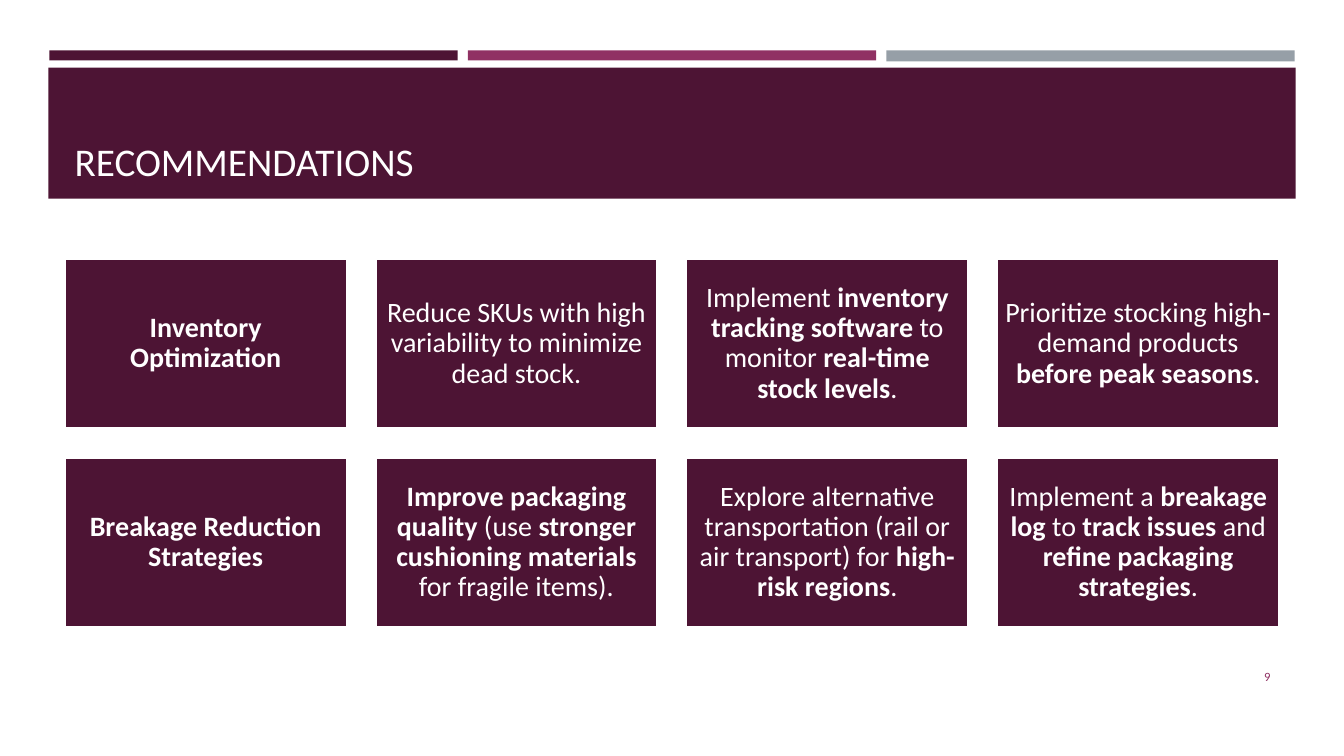
from dataclasses import dataclass

from pptx import Presentation
from pptx.dml.color import RGBColor
from pptx.enum import shapes, text
from pptx.util import Inches, Pt

PLUM, MAGENTA, GREY, WHITE = "4D1434", "903163", "969FA7", "FFFFFF"
FONT = "Calibri"


@dataclass
class Bar:
    left: float
    top: float
    width: float
    height: float
    color: str


BARS = [
    Bar(0.49, 0.5, 4.05, 0.1, PLUM),
    Bar(8.79, 0.5, 4.05, 0.11, GREY),
    Bar(4.64, 0.5, 4.05, 0.1, MAGENTA),
    Bar(0.48, 0.67, 12.37, 1.3, PLUM),
]

# Text between double asterisks is bold.
CARD_ROWS = [
    [
        "**Inventory Optimization**",
        "Reduce SKUs with high variability to minimize dead stock.",
        "Implement **inventory tracking software** to monitor **real-time stock levels**.",
        "Prioritize stocking high-demand products **before peak seasons**.",
    ],
    [
        "**Breakage Reduction Strategies**",
        "**Improve packaging quality** (use **stronger cushioning materials** for fragile items).",
        "Explore alternative transportation (rail or air transport) for **high-risk regions**.",
        "Implement a** breakage log** to **track issues **and** refine packaging strategies**.",
    ],
]
CARD_LEFT, CARD_TOP = 0.64, 2.57
CARD_WIDTH, CARD_HEIGHT = 2.8, 1.68
COLUMN_STEP, ROW_STEP = 3.083, 1.97


def rgb(color: str) -> RGBColor:
    return RGBColor.from_string(color)


def add_rectangle(page, left: float, top: float, width: float, height: float, color: str):
    box = page.shapes.add_shape(
        shapes.MSO_SHAPE.RECTANGLE, Inches(left), Inches(top), Inches(width), Inches(height)
    )
    box.shadow.inherit = False
    box.fill.solid()
    box.fill.fore_color.rgb = rgb(color)
    box.line.fill.background()
    return box


def write(box, words: str, *, size: float, color: str, align, anchor,
          inset: float | None = None, line_spacing: float = 1.0) -> None:
    """Fill the box with one paragraph, setting **marked** words in bold."""
    frame = box.text_frame
    frame.word_wrap = True
    frame.auto_size = text.MSO_AUTO_SIZE.NONE
    frame.vertical_anchor = anchor
    if inset is not None:
        frame.margin_left = frame.margin_right = Inches(inset)
        frame.margin_top = frame.margin_bottom = Inches(inset)
    para = frame.paragraphs[0]
    para.alignment = align
    para.line_spacing = line_spacing
    for index, part in enumerate(words.split("**")):
        if part:
            span = para.add_run()
            span.text = part
            span.font.name = FONT
            span.font.size = Pt(size)
            span.font.bold = index % 2 == 1
            span.font.color.rgb = rgb(color)


def add_title(page, words: str) -> None:
    title = page.shapes.title
    title.left, title.top = Inches(0.64), Inches(0.77)
    title.width, title.height = Inches(12.06), Inches(1.11)
    write(title, words, size=28, color=WHITE,
          align=text.PP_ALIGN.LEFT, anchor=text.MSO_ANCHOR.BOTTOM)
    # Bring the title in front of the header bars.
    title.element.getparent().append(title.element)


def add_card(page, row: int, column: int, words: str) -> None:
    card = add_rectangle(page, CARD_LEFT + column * COLUMN_STEP, CARD_TOP + row * ROW_STEP,
                         CARD_WIDTH, CARD_HEIGHT, PLUM)
    card.line.color.rgb = rgb(WHITE)
    card.line.width = Pt(1.75)
    write(card, words, size=20, color=WHITE, align=text.PP_ALIGN.CENTER,
          anchor=text.MSO_ANCHOR.MIDDLE, inset=0.08, line_spacing=0.9)


def add_page_number(page, number: str) -> None:
    box = page.shapes.add_textbox(Inches(11.55), Inches(6.51), Inches(1.15), Inches(0.4))
    write(box, number, size=9, color=MAGENTA,
          align=text.PP_ALIGN.RIGHT, anchor=text.MSO_ANCHOR.MIDDLE)


def main() -> None:
    deck = Presentation()
    deck.slide_width, deck.slide_height = Inches(13.33), Inches(7.5)
    page = deck.slides.add_slide(deck.slide_layouts.get_by_name("Title Only"))
    for bar in BARS:
        add_rectangle(page, bar.left, bar.top, bar.width, bar.height, bar.color)
    add_title(page, "RECOMMENDATIONS")
    for row, cards in enumerate(CARD_ROWS):
        for column, words in enumerate(cards):
            add_card(page, row, column, words)
    add_page_number(page, "9")
    deck.save("out.pptx")


if __name__ == "__main__":
    main()
